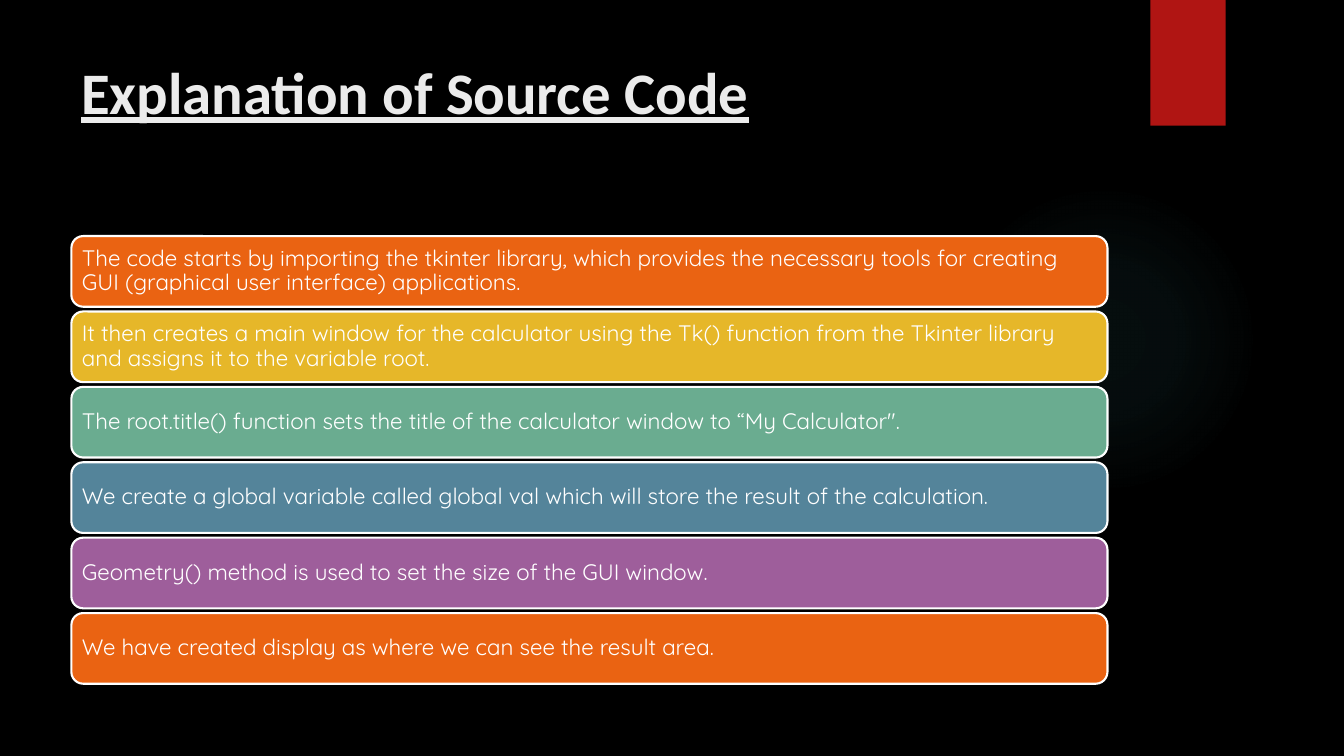
from pptx import Presentation
from pptx.dml.color import RGBColor
from pptx.enum.shapes import MSO_SHAPE
from pptx.enum.text import MSO_ANCHOR, PP_ALIGN
from pptx.oxml import parse_xml
from pptx.oxml.ns import nsdecls, qn
from pptx.util import Cm, Pt

OVAL = MSO_SHAPE.OVAL
RECTANGLE = MSO_SHAPE.RECTANGLE
ROUNDED = MSO_SHAPE.ROUNDED_RECTANGLE
MIDDLE = MSO_ANCHOR.MIDDLE
LEFT = PP_ALIGN.LEFT

COLORS = {
    "background": "000000",
    "glow": "50B9C1",
    "ribbon": "B01513",
    "title": "EBEBEB",
    "white": "FFFFFF",
    "orange": "EA6312",
    "yellow": "E6B729",
    "green": "6AAC90",
    "blue": "54849A",
    "purple": "9E5E9B",
}

STEPS = [
    ("orange", "The code starts by importing the tkinter library, which provides the "
               "necessary tools for creating GUI (graphical user interface) applications."),
    ("yellow", "It then creates a main window for the calculator using the Tk() function "
               "from the Tkinter library and assigns it to the variable root."),
    ("green", "The root.title() function sets the title of the calculator window to "
              "“My Calculator\"."),
    ("blue", "We create a global variable called global val which will store the result "
             "of the calculation."),
    ("purple", "Geometry() method is used to set the size of the GUI window."),
    ("orange", "We have created display as where we can see the result area."),
]

MARGIN = 1.8
STEPS_TOP = 5.95
STEP_PITCH = 1.9
STEP_WIDTH = 26.11
STEP_HEIGHT = 1.78


def color(name):
    return RGBColor.from_string(COLORS[name])


def add_panel(slide, preset, left, top, width, height, fill):
    """Add a flat, unoutlined preset shape; lengths are in centimetres."""
    panel = slide.shapes.add_shape(preset, Cm(left), Cm(top), Cm(width), Cm(height))
    panel.shadow.inherit = False
    panel.fill.solid()
    panel.fill.fore_color.rgb = color(fill)
    panel.line.fill.background()
    return panel


def add_glow(slide):
    """Add a faint disc that fades out towards its rim."""
    glow = add_panel(slide, OVAL, 23.9, 4.65, 7.82, 7.82, "glow")
    stops = "".join(
        f'<a:gs pos="{position * 1000}"><a:srgbClr val="{COLORS["glow"]}">'
        f'<a:alpha val="{opacity * 1000}"/></a:srgbClr></a:gs>'
        for position, opacity in [(0, 7), (36, 6), (69, 0), (100, 0)]
    )
    gradient = parse_xml(
        f'<a:gradFill {nsdecls("a")}><a:gsLst>{stops}</a:gsLst><a:path path="circle">'
        '<a:fillToRect l="50000" t="50000" r="50000" b="50000"/></a:path></a:gradFill>'
    )
    properties = glow.element.spPr
    properties.replace(properties.find(qn("a:solidFill")), gradient)


def write(frame, text, font_name, size, font_color):
    frame.word_wrap = True
    paragraph = frame.paragraphs[0]
    paragraph.text = text
    paragraph.alignment = LEFT
    font = paragraph.runs[0].font
    font.name = font_name
    font.size = Pt(size)
    font.color.rgb = color(font_color)
    return paragraph


def add_title(slide, text):
    title = slide.shapes.add_textbox(Cm(MARGIN), Cm(1.27), Cm(26.14), Cm(3.89))
    font = write(title.text_frame, text, "Calibri", 42, "title").runs[0].font
    font.bold = True
    font.underline = True


def add_step(slide, top, fill, text):
    step = add_panel(slide, ROUNDED, MARGIN, top, STEP_WIDTH, STEP_HEIGHT, fill)
    step.line.color.rgb = color("white")
    step.line.width = Pt(1.5)
    frame = step.text_frame
    frame.margin_left = frame.margin_right = Cm(0.18)
    frame.margin_top = frame.margin_bottom = Cm(0.18)
    frame.vertical_anchor = MIDDLE
    write(frame, text, "Quicksand", 16, "white").line_spacing = 0.9


def main():
    deck = Presentation()
    deck.slide_width, deck.slide_height = Cm(33.87), Cm(19.05)
    slide = deck.slides.add_slide(deck.slide_layouts[6])
    slide.background.fill.solid()
    slide.background.fill.fore_color.rgb = color("background")

    add_glow(slide)
    add_panel(slide, RECTANGLE, 28.99, 0, 1.9, 3.17, "ribbon")
    add_title(slide, "Explanation of Source Code")
    for index, (fill, text) in enumerate(STEPS):
        add_step(slide, STEPS_TOP + index * STEP_PITCH, fill, text)

    deck.save("out.pptx")


if __name__ == "__main__":
    main()
